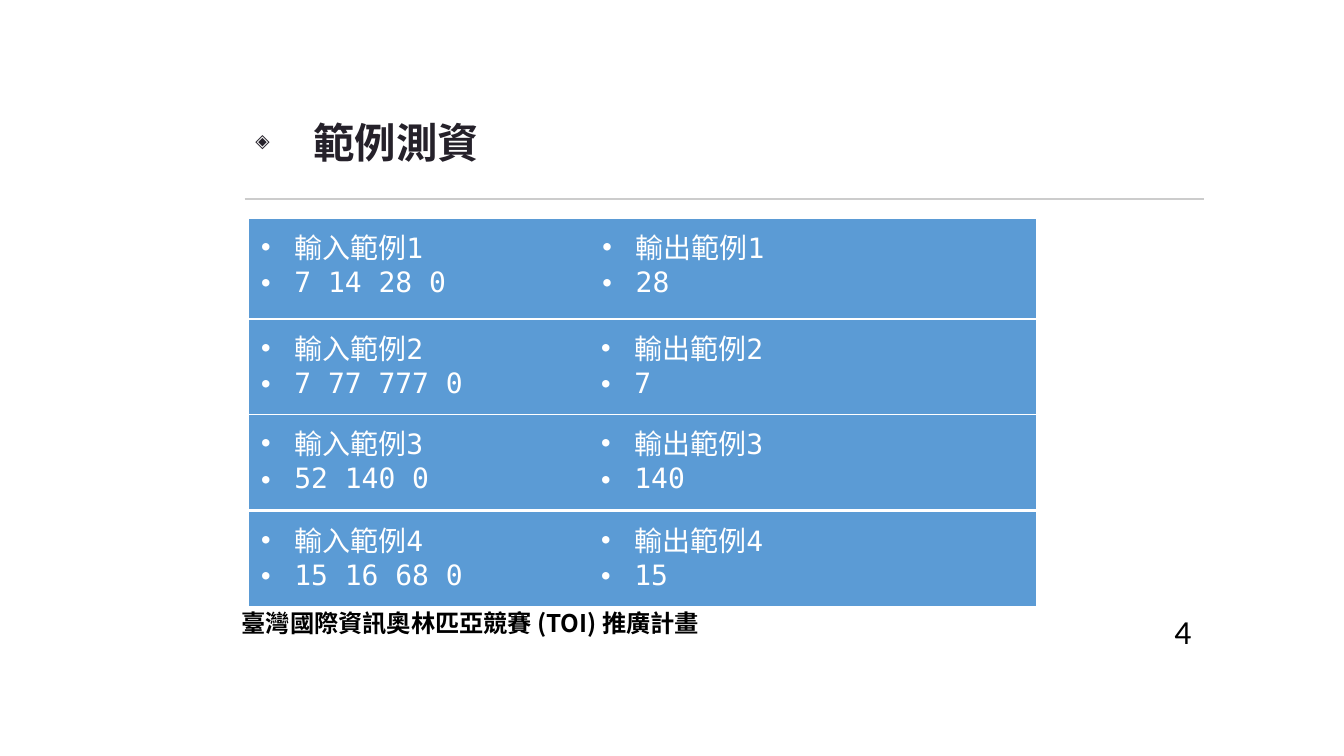
from dataclasses import dataclass

from lxml import etree
from pptx import Presentation
from pptx.dml.color import RGBColor
from pptx.enum.shapes import MSO_CONNECTOR
from pptx.enum.text import MSO_ANCHOR, MSO_AUTO_SIZE, PP_ALIGN
from pptx.oxml.ns import qn
from pptx.util import Inches, Pt

LEFT = PP_ALIGN.LEFT
TOP, MIDDLE = MSO_ANCHOR.TOP, MSO_ANCHOR.MIDDLE
NO_FIT = MSO_AUTO_SIZE.NONE
STRAIGHT = MSO_CONNECTOR.STRAIGHT
PLAIN = "{2D5ABB26-0587-4C30-8999-92F81FD0307C}"  # table style without grid


@dataclass(frozen=True)
class Theme:
    ink: str = "25212A"
    black: str = "000000"
    white: str = "FFFFFF"
    blue: str = "5B9BD5"
    rule: str = "CCCCCC"
    head: float = 22.2
    page: float = 18
    cell: float = 15
    foot: float = 13
    serif: str = "Cambria"
    sans: str = "Calibri"
    mono: str = "DejaVu Sans Mono"
    cjk: str = "Noto Sans CJK SC"


theme = Theme()


def write(frame, *lines, size, color, face, bold=False, mark=None,
          left=0, hang=0, pitch=None):
    """Fill a text frame with one paragraph per line, bulleted if mark is set."""
    for i, line in enumerate(lines):
        para = frame.paragraphs[0] if i == 0 else frame.add_paragraph()
        para.alignment = LEFT
        if pitch:
            para.line_spacing = pitch
        if mark:
            props = para._p.get_or_add_pPr()
            props.set("marL", str(Inches(left)))
            props.set("indent", str(Inches(-hang)))
            tint = etree.SubElement(props, qn("a:buClr"))
            etree.SubElement(tint, qn("a:srgbClr"), val=color)
            etree.SubElement(props, qn("a:buSzPct"), val="45000")
            etree.SubElement(props, qn("a:buFont"), typeface=face)
            etree.SubElement(props, qn("a:buChar"), char=mark)
        run = para.add_run()
        run.text = line
        font = run.font
        font.size, font.bold, font.name = Pt(size), bold, face
        font.color.rgb = RGBColor.from_string(color)
        east = etree.Element(qn("a:ea"), typeface=theme.cjk)
        run._r.rPr.find(qn("a:latin")).addnext(east)


deck = Presentation()
deck.slide_width = Inches(10)
deck.slide_height = deck.slide_width * 9 // 16
slide = deck.slides.add_slide(deck.slide_layouts[5])
shapes = slide.shapes

# Footer, rule and page number
foot = shapes.add_textbox(Inches(1.7), Inches(4.48), Inches(3.74), Inches(0.32))
foot.text_frame.word_wrap = False
write(foot.text_frame, "臺灣國際資訊奧林匹亞競賽 (TOI) 推廣計畫",
      size=theme.foot, color=theme.black, face=theme.cjk, bold=True)

rule = shapes.add_connector(STRAIGHT, Inches(1.82), Inches(1.48),
                            Inches(8.96), Inches(1.48))
rule.line.color.rgb = RGBColor.from_string(theme.rule)
rule.line.width = Pt(0.75)
etree.SubElement(rule._element.spPr, qn("a:effectLst"))

page = shapes.add_textbox(Inches(8.64), Inches(4.48), Inches(0.6), Inches(0.43))
page.text_frame.word_wrap = True
page.text_frame.vertical_anchor = MIDDLE
write(page.text_frame, "4", size=theme.page, color=theme.black, face=theme.sans)

# Title
title = shapes.title
title.left, title.top = Inches(1.68), Inches(0.84)
title.width, title.height = Inches(6.96), Inches(0.52)
frame = title.text_frame
frame.auto_size, frame.vertical_anchor = NO_FIT, TOP
frame.margin_left = frame.margin_right = Inches(0.1)
frame.margin_top = frame.margin_bottom = Inches(0.1)
write(frame, "範例測資", size=theme.head, color=theme.ink, face=theme.serif,
      bold=True, mark="◈", left=0.55, hang=0.43, pitch=0.8)

# One table per sample: top, height, first column, input, output
width = 5.86
samples = [
    (1.63, 0.74, 2.54, "7 14 28 0", "28"),
    (2.38, 0.7, 2.53, "7 77 777 0", "7"),
    (3.09, 0.7, 2.53, "52 140 0", "140"),
    (3.81, 0.7, 2.53, "15 16 68 0", "15"),
]
for num, (top, high, first, *data) in enumerate(samples, 1):
    table = shapes.add_table(1, 2, Inches(1.85), Inches(top),
                             Inches(width), Inches(high)).table
    table.first_row = table.horz_banding = False
    table._tbl.tblPr.find(qn("a:tableStyleId")).text = PLAIN
    table.columns[0].width = Inches(first)
    table.columns[1].width = Inches(width - first)
    for cell, label, value in zip(table.rows[0].cells,
                                  ("輸入範例", "輸出範例"), data):
        cell.fill.solid()
        cell.fill.fore_color.rgb = RGBColor.from_string(theme.blue)
        write(cell.text_frame, f"{label}{num}", value, size=theme.cell,
              color=theme.white, face=theme.mono, mark="●", left=0.24, hang=0.24)

deck.save("out.pptx")
